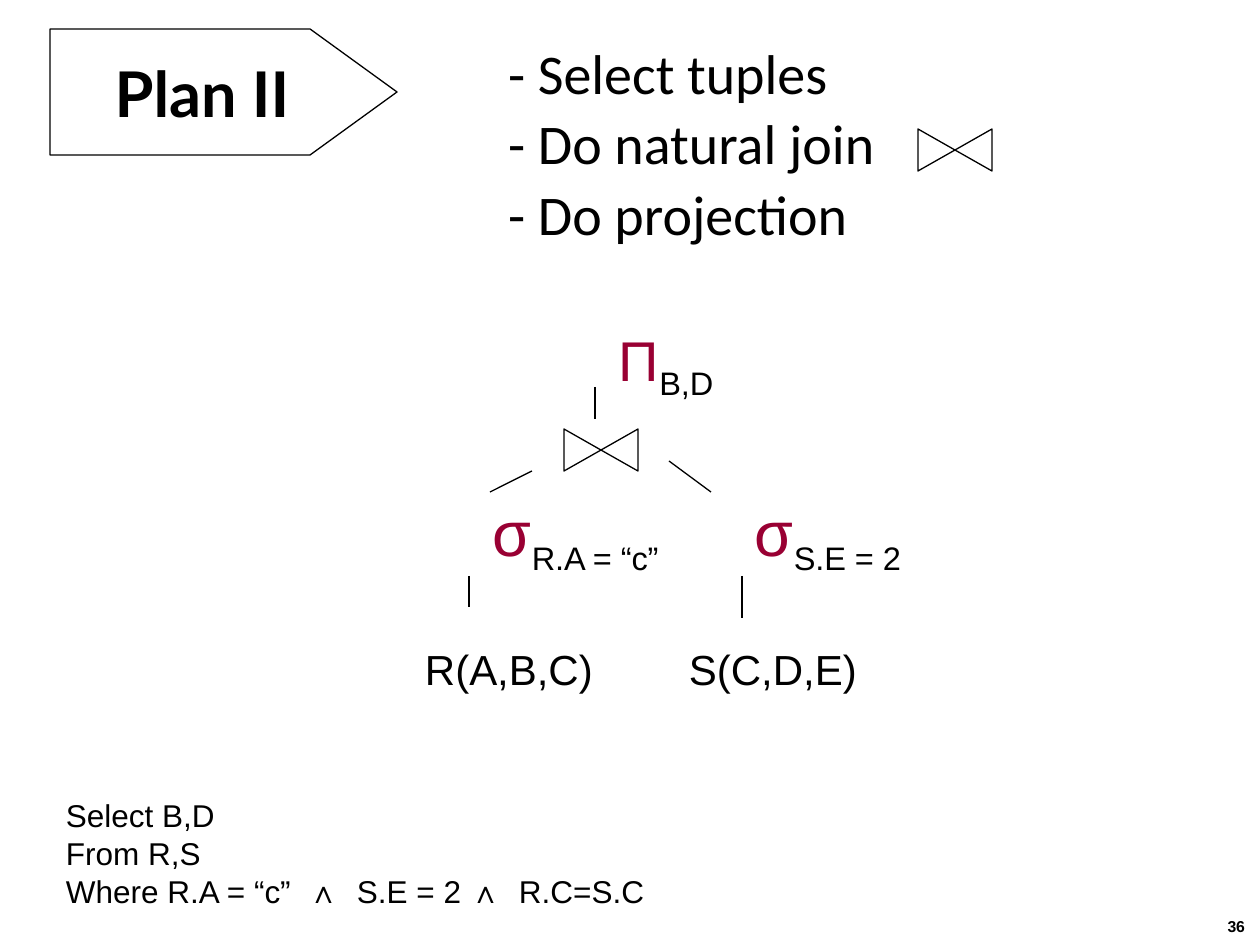
import pptx
import pptx.util
import pptx.dml.color
import pptx.enum.shapes
import pptx.enum.text
from lxml import etree

Px = lambda n: pptx.util.Emu(n * 914400 // 126)
Pt = pptx.util.Pt
RGB = pptx.dml.color.RGBColor
Shape = pptx.enum.shapes.MSO_SHAPE
Align = pptx.enum.text.PP_ALIGN

BLACK = RGB(0, 0, 0)
WHITE = RGB(255, 255, 255)
RED = RGB(0x99, 0, 0x33)

# Content
TITLE = "Plan II"
STEPS = ["- Select tuples", "- Do natural join", "- Do projection"]
QUERY = ["Select B,D", "From R,S",
         "Where R.A = “c”\t∧\tS.E = 2\t∧\tR.C=S.C"]
STOPS = [242, 291, 404, 453]
# operator, subscript, left, top, operator size
OPS = [("Π", "B,D", 619, 325, 32),
       ("σ", "R.A = “c”", 493, 494, 36),
       ("σ", "S.E = 2", 755, 494, 36)]
TABLES = [("R(A,B,C)", 425, 644), ("S(C,D,E)", 689, 644)]
JOINS = [(580, 413), (934, 113)]
EDGES = [(595, 387, 595, 419), (532, 471, 490, 492), (669, 461, 711, 492),
         (469, 576, 469, 607), (742, 576, 742, 618)]

deck = pptx.Presentation()
deck.slide_width, deck.slide_height = Px(1260), Px(945)
slide = deck.slides.add_slide(deck.slide_layouts[5])
shapes = slide.shapes


def style(run, size, name="Arial", color=BLACK, bold=False):
    font = run.font
    font.size, font.name, font.bold = Pt(size), name, bold
    font.color.rgb = color


def trim(frame):
    frame.margin_left = frame.margin_right = 0
    frame.margin_top = frame.margin_bottom = 0
    frame.word_wrap = True


def add_text(lines, x, y, w, h, size, name="Arial", bold=False):
    frame = shapes.add_textbox(Px(x), Px(y), Px(w), Px(h)).text_frame
    trim(frame)
    frame.text = "\n".join(lines)
    for para in frame.paragraphs:
        for run in para.runs:
            style(run, size, name, bold=bold)
    return frame


def add_box(kind, x, y, w, h):
    box = shapes.add_shape(kind, Px(x), Px(y), Px(w), Px(h))
    box.shadow.inherit = False
    box.fill.solid()
    box.fill.fore_color.rgb = WHITE
    box.line.color.rgb = BLACK
    box.line.width = Pt(0.75)
    return box


# Title on its arrow
arrow = add_box(Shape.PENTAGON, 50, 29, 347, 126)
arrow.adjustments[0] = 0.69
title = shapes.title
title.left, title.top, title.width, title.height = map(Px, (50, 29, 304, 126))
shapes._spTree.append(title._element)
head = title.text_frame
trim(head)
head.text = TITLE
head.vertical_anchor = pptx.enum.text.MSO_ANCHOR.MIDDLE
head.paragraphs[0].alignment = Align.CENTER
style(head.paragraphs[0].runs[0], 36, "Lato", bold=True)

# Steps
steps = add_text(STEPS, 508, 46, 400, 210, 32, "Calibri")
for i, para in enumerate(steps.paragraphs):
    para.line_spacing = 0.9
    para.space_before = Pt(5.75 if i else 0)

# Plan tree
for sign, sub, x, y, size in OPS:
    para = add_text([sign], x, y, 240, 80, size).paragraphs[0]
    para.runs[0].font.color.rgb = RED
    run = para.add_run()
    run.text = sub
    style(run, 32)
    run.font._element.set("baseline", "-25000")
for name, x, y in TABLES:
    add_text([name], x, y, 200, 50, 24)
for x, y in JOINS:
    add_box(Shape.FLOWCHART_COLLATE, x, y, 42, 74).rotation = 270
for ends in EDGES:
    edge = shapes.add_connector(pptx.enum.shapes.MSO_CONNECTOR.STRAIGHT,
                                *map(Px, ends))
    edge.line.color.rgb = BLACK
    edge.line.width = Pt(0.75)
    etree.SubElement(edge._element.spPr, pptx.oxml.ns.qn("a:effectLst"))

# Query
query = add_text(QUERY, 66, 796, 800, 115, 18)
for para in query.paragraphs:
    para.line_spacing = Pt(21.7)
props = query.paragraphs[-1]._p.get_or_add_pPr()
tabs = etree.SubElement(props, pptx.oxml.ns.qn("a:tabLst"))
for stop in STOPS:
    etree.SubElement(tabs, pptx.oxml.ns.qn("a:tab"),
                     pos=str(Px(stop)), algn="l")

# Slide number
page = add_text(["36"], 1145, 917, 100, 20, 9, bold=True)
page.paragraphs[0].alignment = Align.RIGHT

deck.save("out.pptx")
